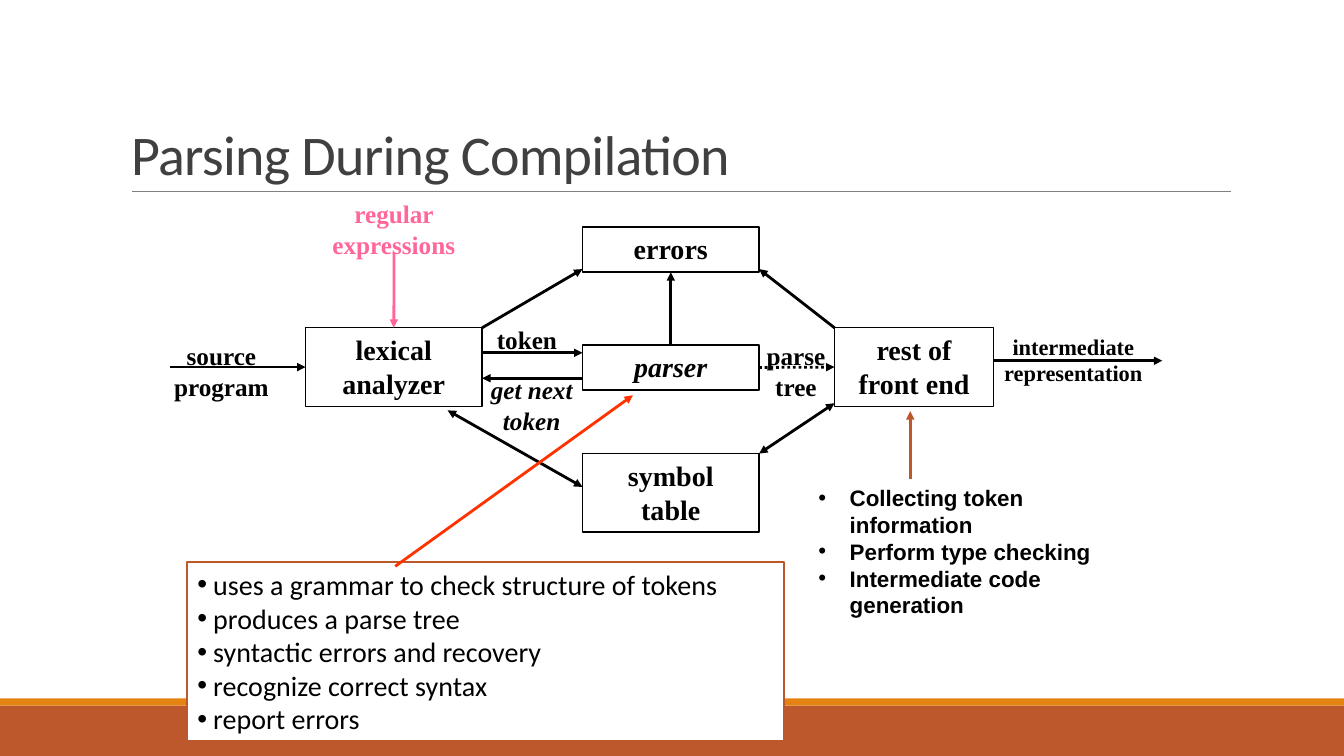
import pptx
import pptx.dml.color
import pptx.enum.dml
import pptx.enum.shapes
import pptx.enum.text
import pptx.oxml
import pptx.oxml.ns
import pptx.util

Cm = pptx.util.Cm
Pt = pptx.util.Pt
PP_ALIGN = pptx.enum.text.PP_ALIGN
MSO_ANCHOR = pptx.enum.text.MSO_ANCHOR

COLORS = {
    "black": "000000",
    "white": "FFFFFF",
    "title": "404040",
    "rule": "808080",
    "rust": "BD582C",
    "orange": "E48312",
    "pink": "FF6699",
    "red": "FF3300",
}


def rgb(name):
    return pptx.dml.color.RGBColor.from_string(COLORS[name])


class Deck:
    """Holds the diagram's style and the slide being drawn."""

    serif, sans, bullet_sans = "Times New Roman", "Calibri", "Arial"

    def __init__(self, prs, layout):
        self.slide = prs.slides.add_slide(prs.slide_layouts[layout])
        self.shapes = self.slide.shapes

    def place(self, sp, at):
        sp.left, sp.top, sp.width, sp.height = (Cm(v) for v in at)

    def font(self, p, name, size, color="black", bold=False, italic=False):
        p.font.name, p.font.size = name, Pt(size)
        p.font.bold, p.font.italic = bold, italic
        p.font.color.rgb = rgb(color)

    def title(self, text, at):
        sp = self.shapes.title
        self.place(sp, at)
        tf = sp.text_frame
        tf.text = text
        tf.vertical_anchor = MSO_ANCHOR.BOTTOM
        tf.auto_size = pptx.enum.text.MSO_AUTO_SIZE.NONE
        p = tf.paragraphs[0]
        p.alignment, p.line_spacing = PP_ALIGN.LEFT, 0.85
        self.font(p, self.sans, 40, "title")
        p.runs[0]._r.get_or_add_rPr().set("spc", "-50")

    def bullets(self, idx, items, at, name, size, indent, bold=False):
        """Fill a body placeholder and bring it in front of what is drawn so far."""
        sp = self.slide.placeholders[idx]
        self.place(sp, at)
        sp.element.getparent().append(sp.element)
        tf = sp.text_frame
        tf.text = "\n".join(items)
        tf.vertical_anchor = MSO_ANCHOR.TOP
        tf.auto_size = pptx.enum.text.MSO_AUTO_SIZE.NONE
        for p in tf.paragraphs:
            p.space_before = Pt(0)
            self.font(p, name, size, bold=bold)
            pPr = p._p.get_or_add_pPr()
            pPr.set("marL", str(Cm(indent)))
            pPr.set("indent", str(-Cm(indent)))
        return sp

    def rectangle(self, at):
        sp = self.shapes.add_shape(pptx.enum.shapes.MSO_SHAPE.RECTANGLE, *(Cm(v) for v in at))
        sp.shadow.inherit = False
        return sp

    def bar(self, at, color):
        sp = self.rectangle(at)
        sp.fill.solid()
        sp.fill.fore_color.rgb = rgb(color)
        sp.line.fill.background()

    def centre_text(self, sp, text, size, color="black", italic=False):
        tf = sp.text_frame
        tf.word_wrap = True
        tf.vertical_anchor = MSO_ANCHOR.TOP
        tf.text = text
        p = tf.paragraphs[0]
        p.alignment = PP_ALIGN.CENTER
        self.font(p, self.serif, size, color, True, italic)

    def box(self, text, at, italic=False):
        sp = self.rectangle(at)
        sp.fill.background()
        sp.line.color.rgb = rgb("black")
        sp.line.width = Pt(1)
        self.centre_text(sp, text, 20, italic=italic)
        return sp

    def label(self, text, at, size=18, color="black", italic=False):
        sp = self.shapes.add_textbox(*(Cm(v) for v in at))
        self.centre_text(sp, text, size, color, italic)

    def line(self, start, end, color="black", width=2, ends=("tailEnd",), dotted=False):
        """Each end is an (x, y) point in cm or a (shape, side) pair to join."""
        points = [(0, 0) if hasattr(e[0], "shape_id") else e for e in (start, end)]
        cxn = self.shapes.add_connector(
            pptx.enum.shapes.MSO_CONNECTOR.STRAIGHT, *(Cm(v) for xy in points for v in xy))
        for e, join in ((start, cxn.begin_connect), (end, cxn.end_connect)):
            if hasattr(e[0], "shape_id"):
                join(*e)
        cxn.line.color.rgb = rgb(color)
        cxn.line.width = Pt(width)
        if dotted:
            cxn.line.dash_style = pptx.enum.dml.MSO_LINE.ROUND_DOT
        ln = cxn.line._get_or_add_ln()
        ns = pptx.oxml.ns.nsdecls("a")
        for tag in ends:
            ln.append(pptx.oxml.parse_xml(f'<a:{tag} {ns} type="triangle"/>'))
        cxn.element.spPr.append(pptx.oxml.parse_xml(f"<a:effectLst {ns}/>"))


def main():
    prs = pptx.Presentation()
    prs.slide_width, prs.slide_height = Cm(33.87), Cm(19.05)
    deck = Deck(prs, 3)

    deck.bar((0, 17.78, 33.87, 1.27), "rust")
    deck.bar((0, 17.6, 33.87, 0.18), "orange")
    deck.line((3.33, 4.83), (31.01, 4.83), "rule", 0.5, ends=())
    deck.title("Parsing During Compilation", (3.05, 0.79, 27.94, 4.04))

    middle, wide, low, tall = 14.68, 4.45, 1.14, 1.98
    errors = deck.box("errors", (middle, 5.72, wide, low))
    lexical = deck.box("lexical analyzer", (7.7, 8.26, wide, tall))
    parser = deck.box("parser", (middle, 8.69, wide, low), italic=True)
    rest = deck.box("rest of front end", (21.03, 8.26, 4.01, tall))
    deck.box("symbol\vtable", (middle, 11.43, wide, tall))

    for start, end in (
        ((12.15, 8.89), (middle, 8.89)),
        ((middle, 9.53), (12.15, 9.53)),
        ((parser, 0), (errors, 2)),
        ((12.15, 8.26), (middle, 6.78)),
        ((21.03, 8.26), (19.13, 6.78)),
        ((25.04, 9.09), (29.29, 9.09)),
        ((4.29, 9.25), (lexical, 1)),
    ):
        deck.line(start, end)
    deck.line((parser, 3), (rest, 1), dotted=True)
    for start, end in (((11.28, 10.34), (middle, 12.27)), ((19.13, 11.43), (21.03, 10.16))):
        deck.line(start, end, ends=("headEnd", "tailEnd"))

    deck.label("intermediate representation", (24.61, 8.26, 4.88, 1.63), size=16)
    deck.label("source program", (3.89, 8.46, 3.38, 1.78))
    deck.label("parse tree", (18.69, 8.46, 2.74, 1.78))
    deck.label("get next token", (11.71, 9.32, 3.38, 1.78), italic=True)
    deck.label("token", (11.91, 8.05, 2.74, 1.02))
    deck.label("regular expressions", (7.7, 4.88, 4.45, 1.78), color="pink")
    deck.line((9.93, 6.35), (lexical, 0), "pink")

    deck.bullets(2, (
        "Collecting token information",
        "Perform type checking",
        "Intermediate code generation",
    ), (20.37, 12.07, 8.7, 3.68), deck.bullet_sans, 16, 0.79, bold=True)
    deck.line((22.94, 12.07), (22.94, 10.36), "rust")

    tasks = deck.bullets(1, (
        "uses a grammar to check structure of tokens",
        "produces a parse tree",
        "syntactic errors and recovery",
        "recognize correct syntax",
        "report errors",
    ), (4.72, 14.17, 15.04, 4.5), deck.sans, 20, 0.4)
    tasks.fill.solid()
    tasks.fill.fore_color.rgb = rgb("white")
    tasks.line.color.rgb = rgb("rust")
    tasks.line.width = Pt(1.25)
    deck.line((9.96, 14.27), (15.95, 9.96), "red")

    prs.save("out.pptx")


if __name__ == "__main__":
    main()
